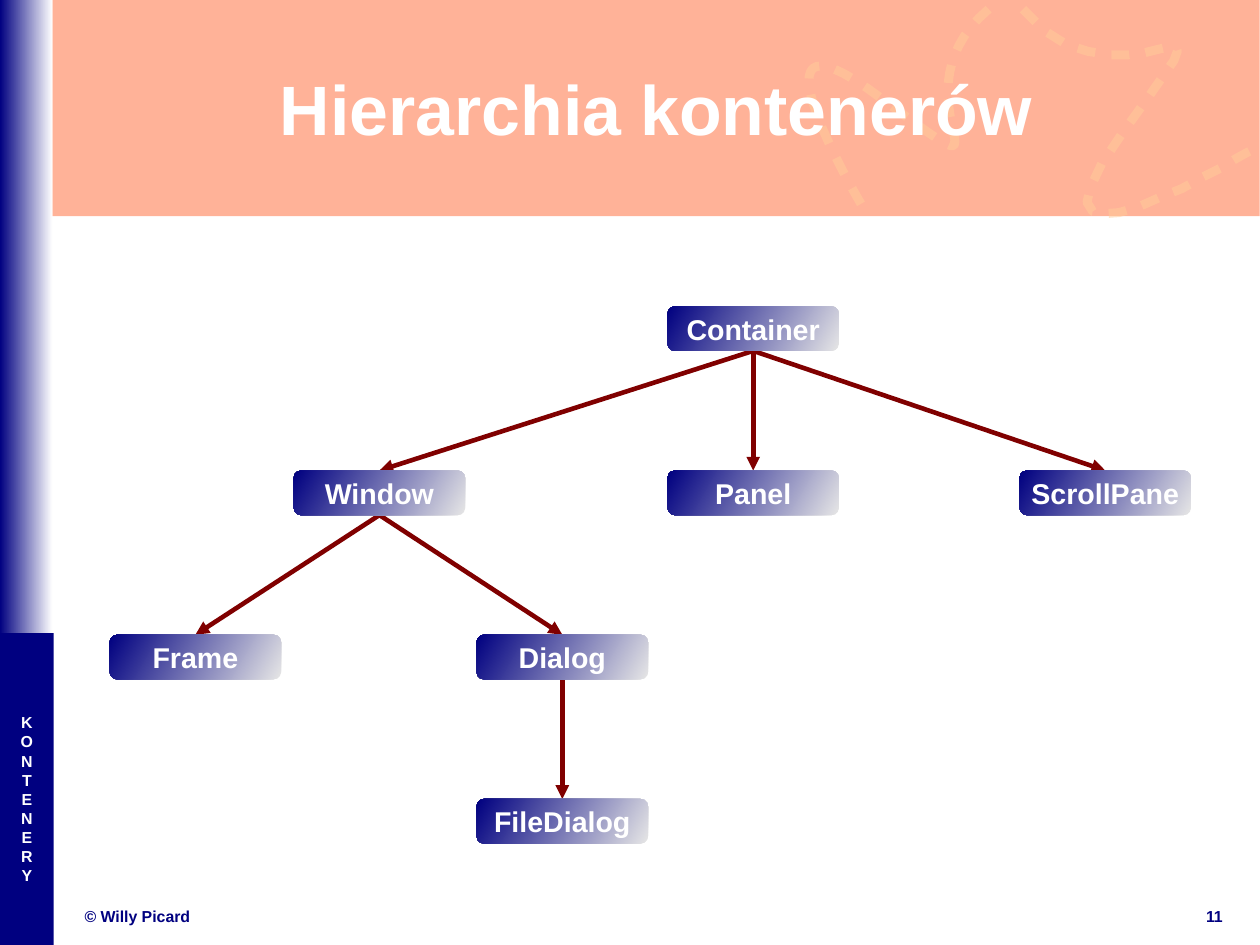
from lxml import etree
from pptx import Presentation
from pptx import util as u
from pptx.dml.color import RGBColor
from pptx.enum import shapes, text
from pptx.oxml import ns

deck = Presentation()
deck.slide_width, deck.slide_height = u.Inches(28 / 2.54), u.Inches(21 / 2.54)
slide = deck.slides.add_slide(deck.slide_layouts[6])
items = slide.shapes
NAVY, WHITE, PEACH = "000080", "FFFFFF", "FFCC99"


def paint(color, code, alpha=None):
    color.rgb = RGBColor.from_string(code)
    if alpha:
        node = color._xFill.find(ns.qn("a:srgbClr"))
        etree.SubElement(node, ns.qn("a:alpha")).set("val", str(alpha * 1000))


def write(shape, words, size, code, align=text.PP_ALIGN.CENTER):
    frame = shape.text_frame
    frame.word_wrap = True
    frame.vertical_anchor = text.MSO_ANCHOR.MIDDLE
    frame.margin_left = frame.margin_right = 0
    frame.margin_top = frame.margin_bottom = 0
    frame.text = words
    for para in frame.paragraphs:
        para.alignment = align
        font = para.runs[0].font
        font.name, font.size, font.bold = "Arial", u.Pt(size), True
        paint(font.color, code)


panels = [
    (0, 0, 11.02, 1.89, ["FF6633"], 50),
    (0, 0, 0.46, 5.72, [NAVY, WHITE], None),
    (0, 5.54, 0.47, 2.73, [NAVY], None),
]
for x, y, w, h, codes, alpha in panels:
    side = items.add_shape(shapes.MSO_SHAPE.RECTANGLE, *map(u.Inches, (x, y, w, h)))
    side.shadow.inherit = False
    side.line.fill.background()
    if len(codes) > 1:
        side.fill.gradient()
        side.fill.gradient_angle = 0
        for place, (stop, code) in enumerate(zip(side.fill.gradient_stops, codes)):
            paint(stop.color, code)
            stop.position = place
    else:
        side.fill.solid()
        paint(side.fill.fore_color, codes[0], alpha)

knots = [(8.65, 0.08), (7.73, 0.86), (9.05, 1.85), (7.71, 0.86),
         (6.38, -0.14), (7.56, 1.83), (7.56, 1.83)]
curve = [knots[0]]
for k in (0, 3):
    for step in range(1, 31):
        t = step / 30
        parts = ((1 - t) ** 3, 3 * t * (1 - t) ** 2, 3 * t * t * (1 - t), t ** 3)
        curve.append(tuple(sum(p * knot[axis] for p, knot in zip(parts, knots[k:k + 4]))
                           for axis in (0, 1)))
loop = [(8.95, 0.08), (9.14, 0.27), (9.33, 0.39), (9.52, 0.45), (9.71, 0.48),
        (9.87, 0.48), (10.02, 0.46), (10.14, 0.43), (10.23, 0.41), (10.29, 0.42),
        (10.3, 0.45), (10.27, 0.53), (10.18, 0.66), (10.04, 0.86), (9.83, 1.15),
        (9.64, 1.43), (9.54, 1.64), (9.51, 1.77), (9.56, 1.85), (9.65, 1.87),
        (9.79, 1.86), (9.96, 1.81), (10.14, 1.73), (10.34, 1.65), (10.52, 1.55),
        (10.68, 1.47), (10.81, 1.39), (10.9, 1.34), (10.94, 1.32)]
for points in (curve, loop):
    spots = [(u.Inches(x), u.Inches(y)) for x, y in points]
    route = items.build_freeform(*spots[0])
    route.add_line_segments(spots[1:], close=False)
    trail = route.convert_to_shape()
    trail.shadow.inherit = False
    trail.fill.background()
    trail.line.width = u.Pt(5.67)
    trail.line.fill.solid()
    paint(trail.line.color, PEACH, 50)
    dash = etree.SubElement(trail.line._get_or_add_ln(), ns.qn("a:custDash"))
    mark = etree.SubElement(dash, ns.qn("a:ds"))
    mark.set("d", "200000")
    mark.set("sp", "180000")

labels = [
    (0.74, 7.92, 4.47, 0.19, "© Willy Picard", 10, NAVY, text.PP_ALIGN.LEFT),
    (10.46, 7.92, 0.33, 0.19, "11", 10, NAVY, text.PP_ALIGN.CENTER),
    (0.47, 0.25, 10.55, 1.38, "Hierarchia kontenerów", 44, WHITE, text.PP_ALIGN.CENTER),
    (0, 5.71, 0.47, 2.56, "\n".join("KONTENERY"), 10, WHITE, text.PP_ALIGN.CENTER),
]
for x, y, w, h, words, size, code, align in labels:
    label = items.add_textbox(*map(u.Inches, (x, y, w, h)))
    write(label, words, size, code, align)

nodes = [
    ("Container", 5.84, 0, None),
    ("Window", 2.57, 1, "Container"),
    ("Panel", 5.84, 1, "Container"),
    ("ScrollPane", 8.92, 1, "Container"),
    ("Frame", 0.96, 2, "Window"),
    ("Dialog", 4.17, 2, "Window"),
    ("FileDialog", 4.17, 3, "Dialog"),
]
boxes = {}
for name, x, level, owner in nodes:
    box = items.add_shape(shapes.MSO_SHAPE.ROUNDED_RECTANGLE, u.Inches(x),
                          u.Inches(2.68 + 4.31 / 3 * level), u.Inches(1.5), u.Inches(0.39))
    box.shadow.inherit = False
    box.line.fill.background()
    box.fill.gradient()
    box.fill.gradient_angle = 150
    for place, (stop, code) in enumerate(zip(box.fill.gradient_stops, ("E6E6E6", NAVY))):
        paint(stop.color, code)
        stop.position = place
    write(box, name, 18, WHITE)
    boxes[name] = box

for name, x, level, owner in nodes:
    if owner:
        arrow = items.add_connector(shapes.MSO_CONNECTOR.STRAIGHT, 0, 0, 0, 0)
        arrow.begin_connect(boxes[owner], 2)
        arrow.end_connect(boxes[name], 0)
        arrow.line.width = u.Pt(2.89)
        arrow.line.fill.solid()
        paint(arrow.line.color, "800000")
        tip = etree.SubElement(arrow.line._get_or_add_ln(), ns.qn("a:tailEnd"))
        tip.set("type", "triangle")
        etree.SubElement(arrow._element.spPr, ns.qn("a:effectLst"))

for box in boxes.values():
    items._spTree.append(box._element)

deck.save("out.pptx")
